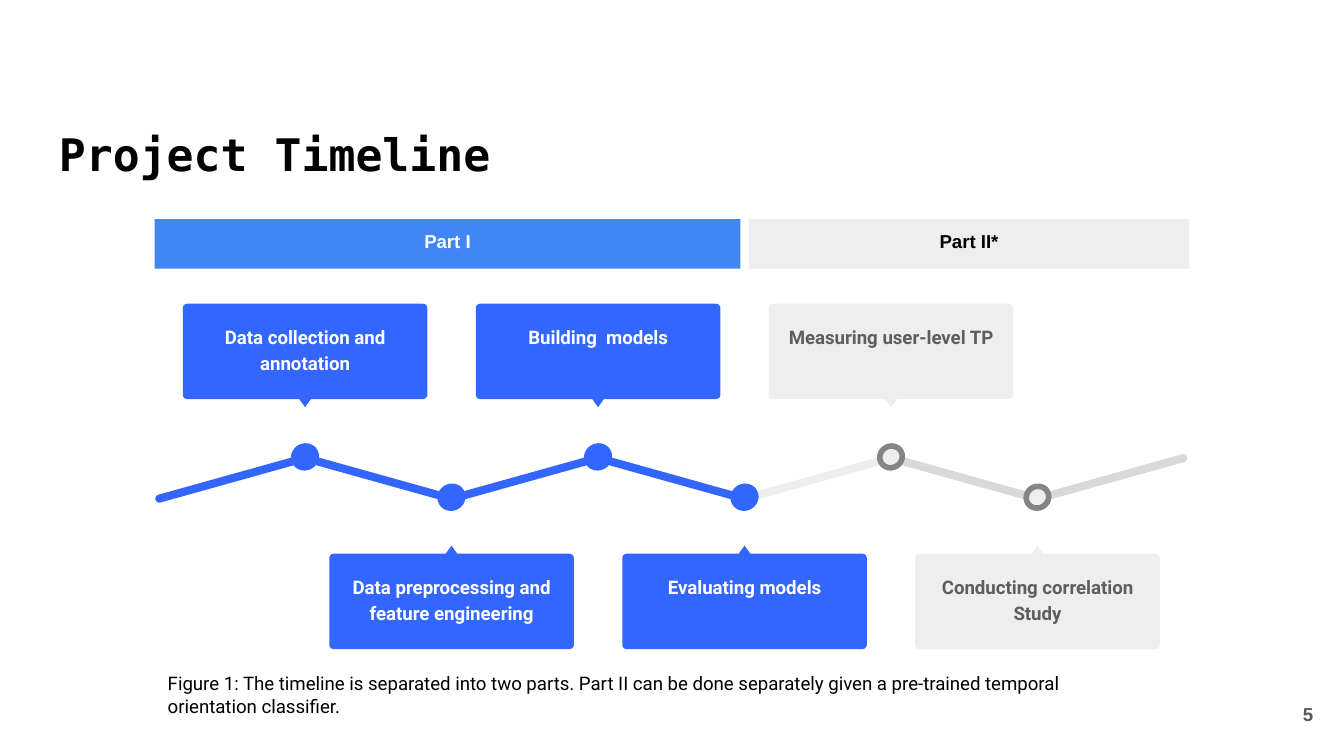
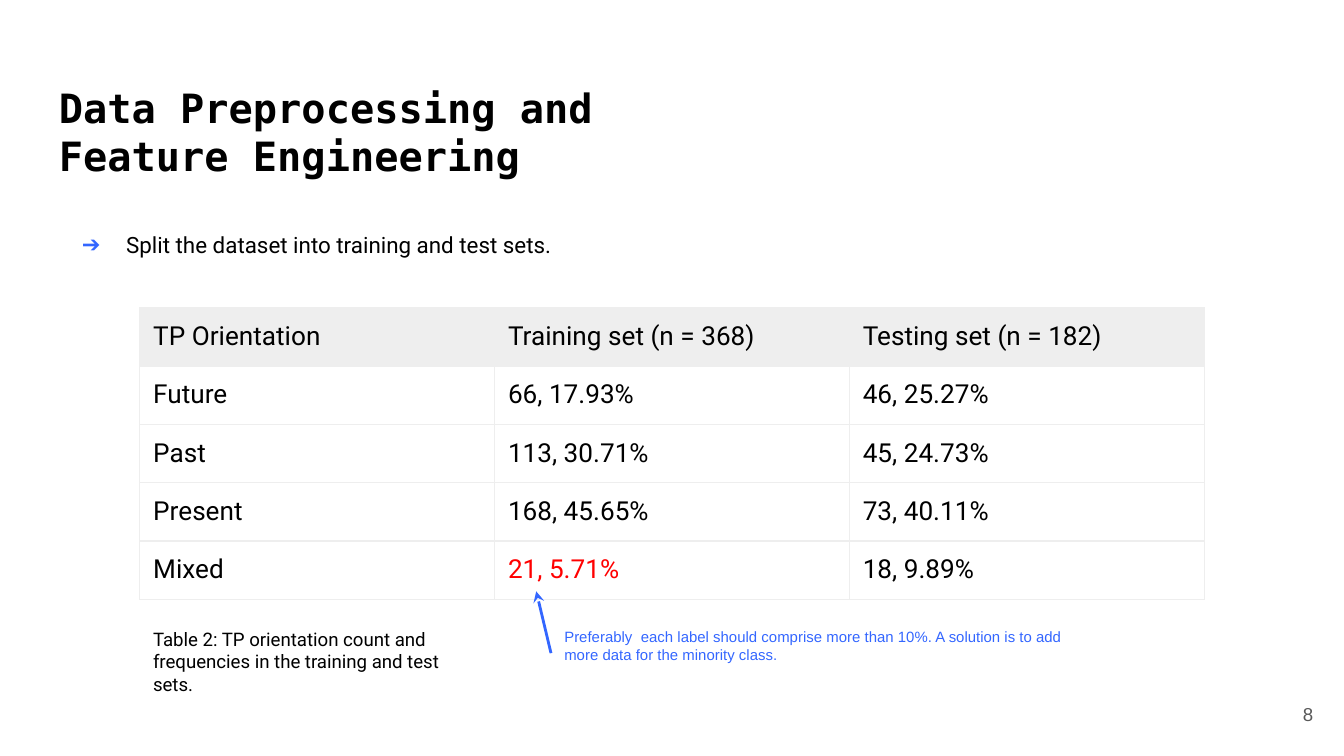
from dataclasses import dataclass

from lxml import etree
from pptx import Presentation
from pptx import util as u
from pptx.dml.color import RGBColor
from pptx.enum import shapes, text
from pptx.oxml.ns import qn

Inches, Pt = u.Inches, u.Pt
Preset, Align, Anchor = shapes.MSO_SHAPE, text.PP_ALIGN, text.MSO_ANCHOR


@dataclass(frozen=True)
class Theme:
    blue: str = "3366FF"
    band_blue: str = "4285F4"
    pale: str = "EEEEEE"
    track: str = "D9D9D9"
    ring: str = "858585"
    muted: str = "5E5E5E"
    number: str = "595959"
    black: str = "000000"
    white: str = "FFFFFF"
    alert: str = "FF0000"
    title_font: str = "DejaVu Sans Mono"
    body_font: str = "Roboto"
    plain_font: str = "Arial"
    title: float = 24
    long_title: float = 21.6
    table: float = 14
    body: float = 12
    small: float = 10
    note: float = 8


T = Theme()

# Content
PHASES = [  # label, left, width, fill, text colour
    ("Part I", 1.15, 4.36, T.band_blue, T.white),
    ("Part II*", 5.57, 3.28, T.pale, T.black),
]
STEPS = [  # label, finished
    ("Data collection and annotation", True),
    ("Data preprocessing and feature engineering", True),
    ("Building  models", True),
    ("Evaluating models", True),
    ("Measuring user-level TP", False),
    ("Conducting correlation Study", False),
]
TRACK_COLOURS = [T.blue] * 4 + [T.pale] + [T.track] * 2
FIGURE_CAPTION = ("Figure 1: The timeline is separated into two parts. Part II can be done "
                  "separately given a pre-trained temporal orientation classifier.")
SPLIT = [
    ("TP Orientation", "Training set (n = 368)", "Testing set (n = 182)"),
    ("Future", "66, 17.93%", "46, 25.27%"),
    ("Past", "113, 30.71%", "45, 24.73%"),
    ("Present", "168, 45.65%", "73, 40.11%"),
    ("Mixed", "21, 5.71%", "18, 9.89%"),
]
MINORITY = "21, 5.71%"
SPLIT_POINT = "Split the dataset into training and test sets."
MINORITY_NOTE = ("Preferably  each label should comprise more than 10%. "
                 "A solution is to add more data for the minority class.")
TABLE_CAPTION = "Table 2: TP orientation count and frequencies in the training and test sets."

# Timeline geometry, in inches
FIRST_X, STEP_X = 2.27, 1.09
TRACK_Y, TRACK_W, TRACK_H, TRACK_TILT = 3.56, 1.18, 0.06, 15.6
CARD_W, CARD_H, CARD_PAD = 1.82, 0.71, 0.04
POINTER_W, POINTER_H = 0.1, 0.07
DOT_W, DOT_H, DOT_TURN = 0.17, 0.16, 330.2
UPPER = {"card": 2.26, "pointer": 2.96, "dot": 3.32, "turn": 180}
LOWER = {"card": 4.12, "pointer": 4.06, "dot": 3.62, "turn": 0}


def rgb(colour):
    return RGBColor.from_string(colour)


def box(left, top, width, height):
    return [Inches(n) for n in (left, top, width, height)]


def set_text(frame, words, size, font, colour, bold=False, align=Align.LEFT):
    paragraph = frame.paragraphs[0]
    paragraph.text = words
    paragraph.alignment = align
    style = paragraph.font
    style.size, style.name, style.bold = Pt(size), font, bold
    style.color.rgb = rgb(colour)
    return paragraph


def prepare_frame(frame, anchor=Anchor.TOP, grow=False):
    frame.word_wrap = True
    frame.vertical_anchor = anchor
    frame.margin_left = frame.margin_right = Inches(0.1)
    frame.margin_top = frame.margin_bottom = Inches(0.1)
    if grow:
        frame.auto_size = text.MSO_AUTO_SIZE.SHAPE_TO_FIT_TEXT
    return frame


def add_text(slide, place, *style, anchor=Anchor.TOP, grow=False, **options):
    frame = slide.shapes.add_textbox(*box(*place)).text_frame
    return set_text(prepare_frame(frame, anchor, grow), *style, **options)


def add_solid(parent, preset, place, fill, line=None, rotation=0, corner=None):
    solid = parent.shapes.add_shape(preset, *box(*place))
    solid.shadow.inherit = False
    solid.fill.solid()
    solid.fill.fore_color.rgb = rgb(fill)
    if line:
        solid.line.color.rgb = rgb(line)
        solid.line.width = Pt(3)
    else:
        solid.line.fill.background()
    solid.rotation = rotation
    if corner is not None:
        solid.adjustments[0] = corner
    return solid


def start_slide(deck, title, number, title_size=T.title, title_width=5.04, bold_number=False):
    """Add a blank slide carrying the shared title and page number."""
    slide = deck.slides.add_slide(deck.slide_layouts[6])
    add_text(slide, (0.34, 0.61, title_width, 0.83), title, title_size, T.title_font,
             T.black, bold=True, anchor=Anchor.BOTTOM)
    add_text(slide, (9.27, 5.1, 0.6, 0.43), str(number), T.small, T.plain_font, T.number,
             bold=bold_number, align=Align.RIGHT, anchor=Anchor.MIDDLE)
    return slide


def add_track(slide):
    for i, colour in reversed(list(enumerate(TRACK_COLOURS))):
        centre = FIRST_X + (i - 0.5) * STEP_X
        add_solid(slide, Preset.ROUNDED_RECTANGLE,
                  (centre - TRACK_W / 2, TRACK_Y - TRACK_H / 2, TRACK_W, TRACK_H), colour,
                  rotation=TRACK_TILT if i % 2 else 360 - TRACK_TILT, corner=0.5)


def add_step(slide, i, label, finished):
    """Add the dot, card and pointer of one step, alternately above and below the track."""
    fill, ring, ink = (T.blue, T.blue, T.white) if finished else (T.pale, T.ring, T.muted)
    row = LOWER if i % 2 else UPPER
    centre = FIRST_X + i * STEP_X
    step = slide.shapes.add_group_shape()
    add_solid(step, Preset.OVAL, (centre - DOT_W / 2, row["dot"], DOT_W, DOT_H), fill, ring,
              rotation=DOT_TURN)
    left = centre - CARD_W / 2
    add_solid(step, Preset.ROUNDED_RECTANGLE, (left, row["card"], CARD_W, CARD_H), fill,
              corner=0.045)
    add_solid(step, Preset.ISOSCELES_TRIANGLE,
              (centre - POINTER_W / 2, row["pointer"], POINTER_W, POINTER_H), fill,
              rotation=row["turn"])
    panel = add_solid(step, Preset.RECTANGLE,
                      (left + CARD_PAD, row["card"] + CARD_PAD,
                       CARD_W - 2 * CARD_PAD, CARD_H - 2 * CARD_PAD), fill)
    paragraph = set_text(prepare_frame(panel.text_frame), label, T.small, T.body_font, ink,
                         bold=True, align=Align.CENTER)
    paragraph.line_spacing = 1.15
    paragraph.space_after = Pt(16)


def add_arrow_bullet(paragraph):
    props = paragraph._p.get_or_add_pPr()
    props.set("marL", str(Inches(0.5)))
    props.set("indent", str(Inches(-0.33)))
    colour = etree.Element(qn("a:buClr"))
    etree.SubElement(colour, qn("a:srgbClr"), val=T.blue)
    font = etree.Element(qn("a:buFont"), typeface=T.body_font)
    mark = etree.Element(qn("a:buChar"), char="➔")
    for part in (colour, font, mark):
        props.find(qn("a:defRPr")).addprevious(part)


def add_borders(cell):
    props = cell._tc.get_or_add_tcPr()
    for side in ("lnL", "lnR", "lnT", "lnB"):
        edge = etree.SubElement(props, qn(f"a:{side}"), w=str(Pt(0.75)))
        fill = etree.SubElement(edge, qn("a:solidFill"))
        etree.SubElement(fill, qn("a:srgbClr"), val=T.pale)


def add_split_table(slide):
    columns, row_height = len(SPLIT[0]), 0.42
    table = slide.shapes.add_table(
        len(SPLIT), columns, *box(1.04, 2.29, 2.64 * columns, row_height * len(SPLIT))).table
    for r, row in enumerate(SPLIT):
        for c, words in enumerate(row):
            cell = table.cell(r, c)
            cell.margin_left = cell.margin_right = Inches(0.1)
            cell.margin_top = cell.margin_bottom = Inches(0.1)
            set_text(cell.text_frame, words, T.table, T.body_font,
                     T.alert if words == MINORITY else T.black)
            add_borders(cell)
            if r == 0:
                cell.fill.solid()
                cell.fill.fore_color.rgb = rgb(T.pale)
            else:
                cell.fill.background()


def add_note_arrow(slide):
    arrow = slide.shapes.add_connector(shapes.MSO_CONNECTOR.STRAIGHT,
                                       *box(4.1, 4.86, 3.99, 4.4))
    arrow.line.color.rgb = rgb(T.blue)
    arrow.line.width = Pt(1.5)
    etree.SubElement(arrow.line._get_or_add_ln(), qn("a:tailEnd"), type="stealth")
    etree.SubElement(arrow._element.spPr, qn("a:effectLst"))


def build_timeline(deck):
    slide = start_slide(deck, "Project Timeline", 5, bold_number=True)
    add_track(slide)
    for i, (label, finished) in enumerate(STEPS):
        add_step(slide, i, label, finished)
    for label, left, width, fill, ink in PHASES:
        band = add_solid(slide, Preset.RECTANGLE, (left, 1.63, width, 0.37), fill)
        set_text(prepare_frame(band.text_frame, grow=True), label, T.small, T.plain_font, ink,
                 bold=True, align=Align.CENTER)
    add_text(slide, (1.15, 4.9, 7.26, 0.54), FIGURE_CAPTION, T.small, T.body_font, T.black,
             grow=True)


def build_preprocessing(deck):
    slide = start_slide(deck, "Data Preprocessing and Feature Engineering", 8,
                        title_size=T.long_title, title_width=4.5)
    point = add_text(slide, (0.34, 1.52, 6.82, 3.2), SPLIT_POINT, T.body, T.body_font, T.black)
    point.line_spacing = 1.5
    add_arrow_bullet(point)
    add_split_table(slide)
    add_text(slide, (4.1, 4.57, 4.18, 0.47), MINORITY_NOTE, T.note, T.plain_font, T.blue,
             grow=True)
    add_note_arrow(slide)
    add_text(slide, (1.04, 4.57, 2.51, 0.71), TABLE_CAPTION, T.small, T.body_font, T.black,
             grow=True)


def main():
    deck = Presentation()
    deck.slide_width = Inches(10)
    deck.slide_height = deck.slide_width * 9 // 16
    build_timeline(deck)
    build_preprocessing(deck)
    deck.save("out.pptx")


if __name__ == "__main__":
    main()
